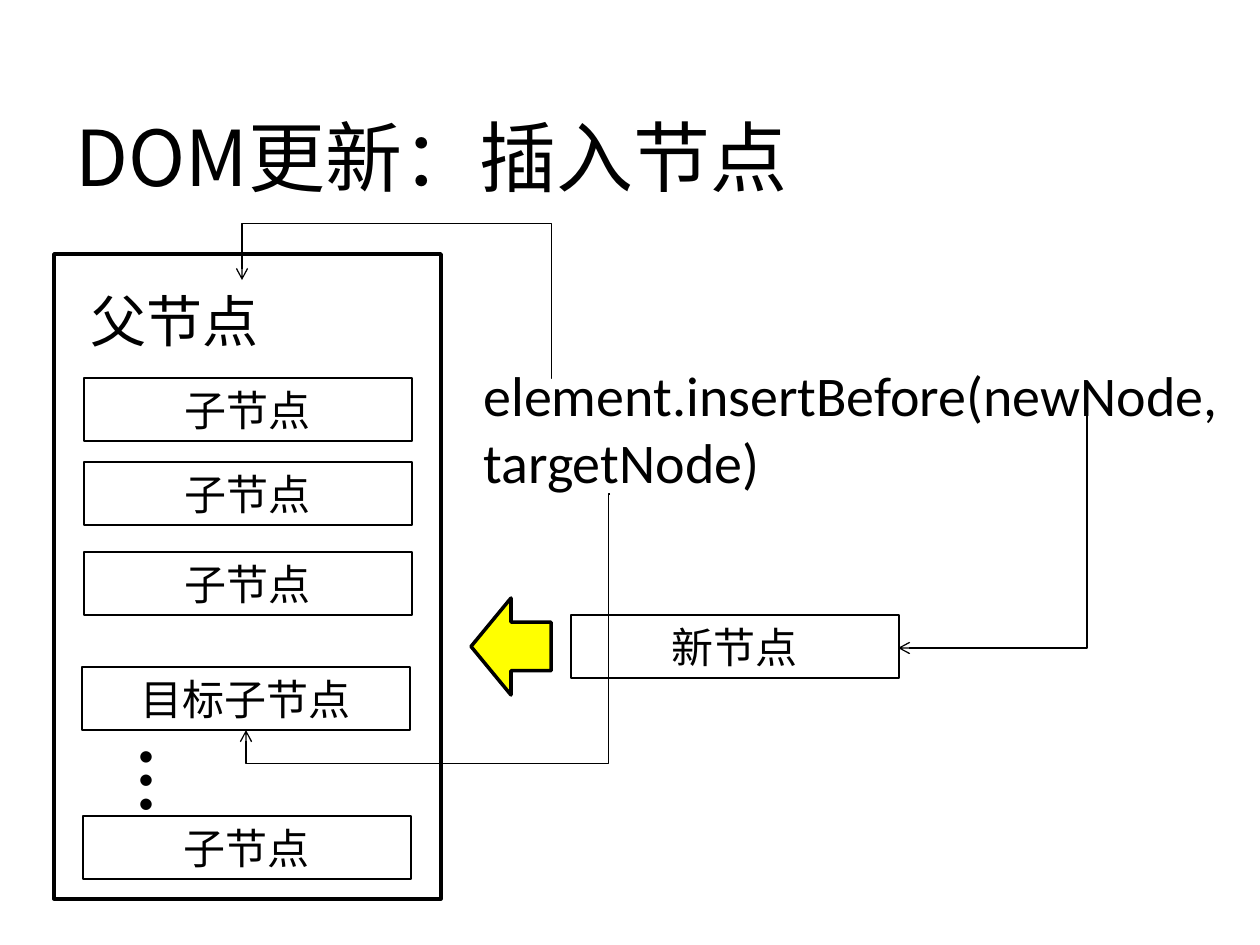
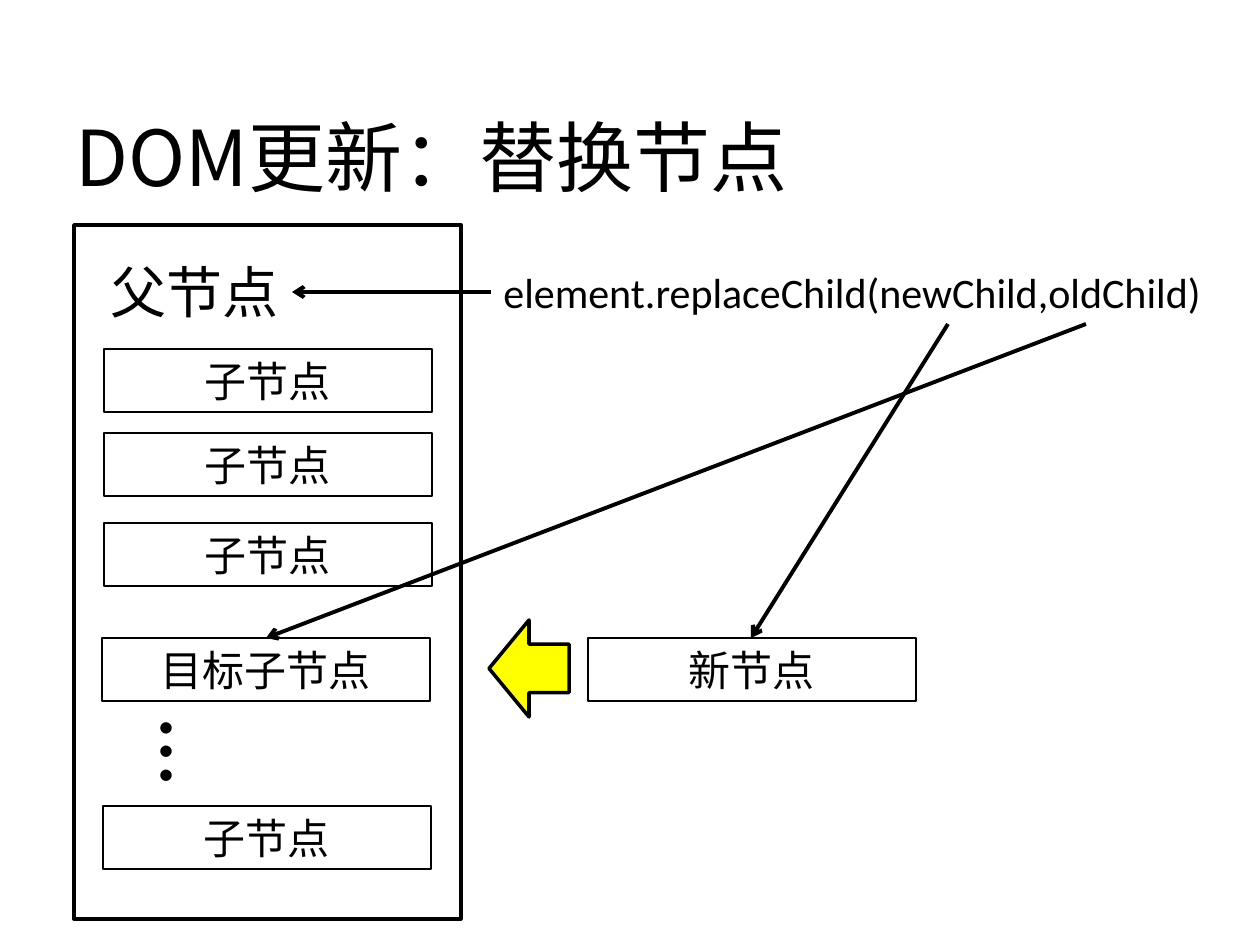
from pptx import Presentation
from pptx.dml.color import RGBColor
from pptx.enum.shapes import MSO_CONNECTOR, MSO_SHAPE
from pptx.enum.text import MSO_ANCHOR, MSO_AUTO_SIZE, PP_ALIGN
from pptx.oxml.ns import qn
from pptx.util import Emu, Pt
from lxml.etree import SubElement

SCALE = 914400 / 126
BLACK, YELLOW = "000000", "FFFF00"
LATIN, CJK = "Calibri", "Noto Sans CJK SC"

CHILD, TARGET = "子节点", "目标子节点"
CHILD_ROWS = [(CHILD, 30, 124), (CHILD, 30, 208), (CHILD, 30, 298), (TARGET, 28, 413)]
NODE_SIZE = (328, 63)

SLIDES = [
    {
        "title": "DOM更新：插入节点",
        "origin": (54, 254),
        "panel_height": 645,
        "last_child": 562,
        "code": ("element.insertBefore(newNode,targetNode)", (471, 354, 774, 149), 32),
        "insert_arrow": (471, 598),
        "new_node": (571, 615),
        "lines": [],
        "elbows": [
            ("bentConnector2", (874, 435, 237, 189), 90, False, []),
            ("bentConnector4", (246, 494, 364, 236), 180, True, [0.004, 1.141]),
            ("bentConnector4", (242, 280, 309, 98), 180, False, [-0.002, 1.579]),
        ],
    },
    {
        "title": "DOM更新：替换节点",
        "origin": (74, 225),
        "panel_height": 694,
        "last_child": 581,
        "code": ("element.replaceChild(newChild,oldChild)", (491, 260, 725, 63), 24),
        "insert_arrow": (489, 620),
        "new_node": (588, 638),
        "lines": [
            ((491, 292), (292, 292)),
            ((948, 324), (751, 638)),
            ((1086, 324), (266, 638)),
        ],
        "elbows": [],
    },
]


def px(value):
    return Emu(round(value * SCALE))


def color(value):
    return RGBColor.from_string(value)


def write(shape, text, size, font=LATIN, align=PP_ALIGN.LEFT, anchor=MSO_ANCHOR.TOP):
    frame = shape.text_frame
    frame.word_wrap = True
    frame.vertical_anchor = anchor
    paragraph = frame.paragraphs[0]
    paragraph.alignment = align
    run = paragraph.add_run()
    run.text = text
    run.font.size = Pt(size)
    run.font.name = font
    run.font.color.rgb = color(BLACK)
    SubElement(run.font._element, qn("a:ea")).set("typeface", CJK)


def add_text(slide, text, box, size, **style):
    shape = slide.shapes.add_textbox(*map(px, box))
    write(shape, text, size, **style)
    return shape


def add_outline(slide, kind, box, width, fill=None):
    shape = slide.shapes.add_shape(kind, *map(px, box))
    shape.shadow.inherit = False
    if fill:
        shape.fill.solid()
        shape.fill.fore_color.rgb = color(fill)
    else:
        shape.fill.background()
    shape.line.color.rgb = color(BLACK)
    shape.line.width = Pt(width)
    return shape


def add_node(slide, text, left, top):
    shape = add_outline(slide, MSO_SHAPE.RECTANGLE, (left, top, *NODE_SIZE), 0.75)
    write(shape, text, 24, align=PP_ALIGN.CENTER)
    shape.text_frame.auto_size = MSO_AUTO_SIZE.SHAPE_TO_FIT_TEXT


def add_arrow(slide, start, end, width, kind=MSO_CONNECTOR.STRAIGHT):
    connector = slide.shapes.add_connector(kind, *map(px, (*start, *end)))
    connector.line.color.rgb = color(BLACK)
    connector.line.width = Pt(width)
    SubElement(connector.line._get_or_add_ln(), qn("a:tailEnd")).set("type", "arrow")
    SubElement(connector._element.spPr, qn("a:effectLst"))
    return connector


def add_elbow(slide, preset, box, turn, flipped, adjustments):
    left, top, width, height = box
    connector = add_arrow(slide, (left, top), (left + width, top + height), 0.75, MSO_CONNECTOR.ELBOW)
    properties = connector._element.spPr
    transform = properties.find(qn("a:xfrm"))
    transform.set("rot", str(turn * 60000))
    if flipped:
        transform.set("flipV", "1")
    geometry = properties.find(qn("a:prstGeom"))
    geometry.set("prst", preset)
    values = geometry.find(qn("a:avLst"))
    for number, adjustment in enumerate(adjustments, 1):
        guide = SubElement(values, qn("a:gd"))
        guide.set("name", f"adj{number}")
        guide.set("fmla", f"val {round(adjustment * 100000)}")


def add_parent(slide, origin, height, last_child):
    left, top = origin
    add_outline(slide, MSO_SHAPE.RECTANGLE, (left, top, 387, height), 2)
    add_text(slide, "父节点", (left + 24, top + 26, 328, 81), 32)
    for text, across, down in CHILD_ROWS + [(CHILD, 29, last_child)]:
        add_node(slide, text, left + across, top + down)
    dots = add_text(slide, "…", (left + 48, top + 482, 140, 89), 54)
    dots.text_frame._txBody.bodyPr.set("vert", "eaVert")


def build_slide(presentation, content):
    slide = presentation.slides.add_slide(presentation.slide_layouts[6])
    add_text(slide, content["title"], (63, 77, 1134, 157), 44, font=CJK, anchor=MSO_ANCHOR.MIDDLE)
    add_parent(slide, content["origin"], content["panel_height"], content["last_child"])
    add_outline(slide, MSO_SHAPE.LEFT_ARROW, (*content["insert_arrow"], 80, 97), 2, YELLOW)
    add_node(slide, "新节点", *content["new_node"])
    add_text(slide, *content["code"])
    for start, end in content["lines"]:
        add_arrow(slide, start, end, 2.25)
    for elbow in content["elbows"]:
        add_elbow(slide, *elbow)


def main():
    """Build the slides on inserting and replacing DOM nodes."""
    presentation = Presentation()
    presentation.slide_width, presentation.slide_height = px(1260), px(945)
    for content in SLIDES:
        build_slide(presentation, content)
    presentation.save("out.pptx")


main()
